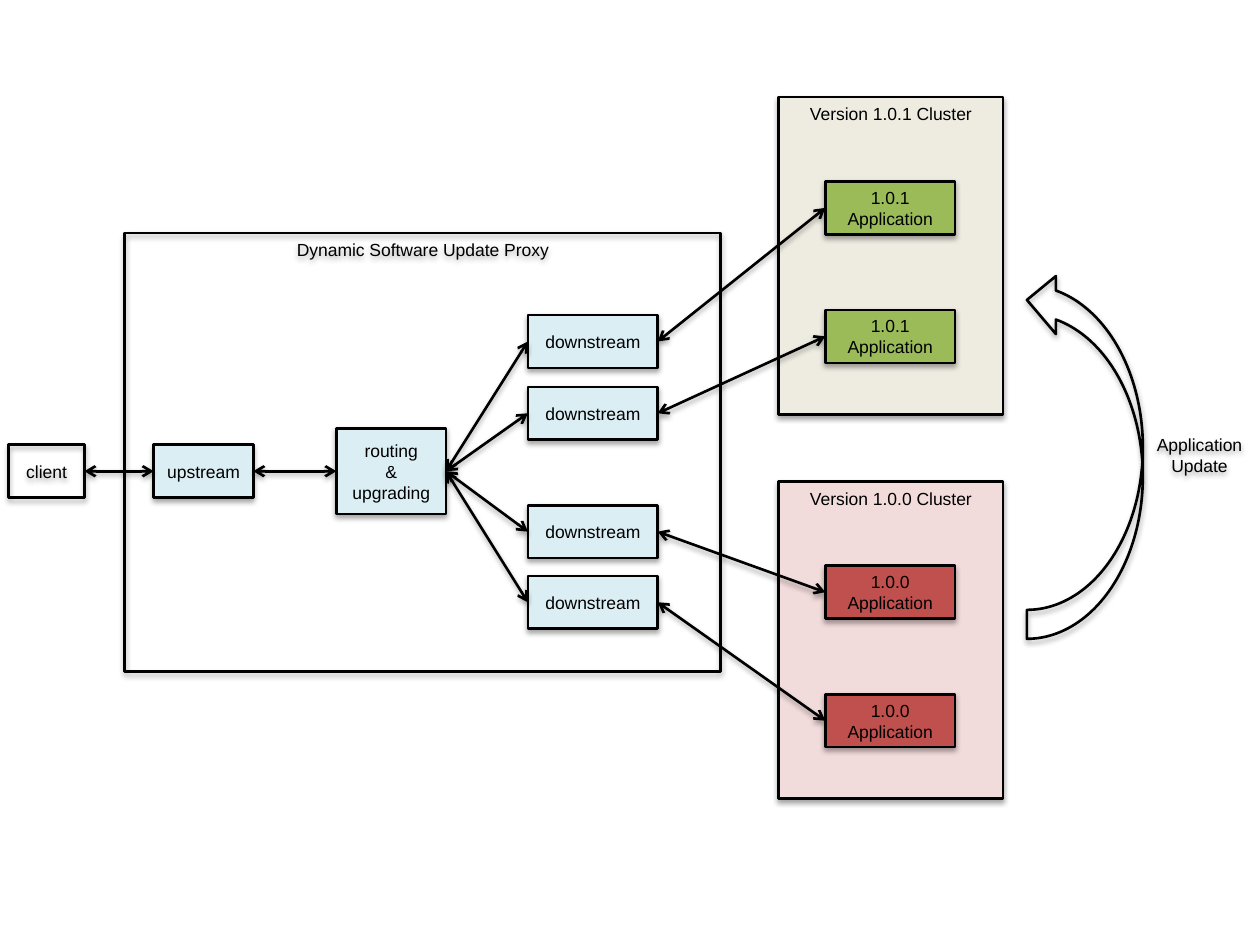
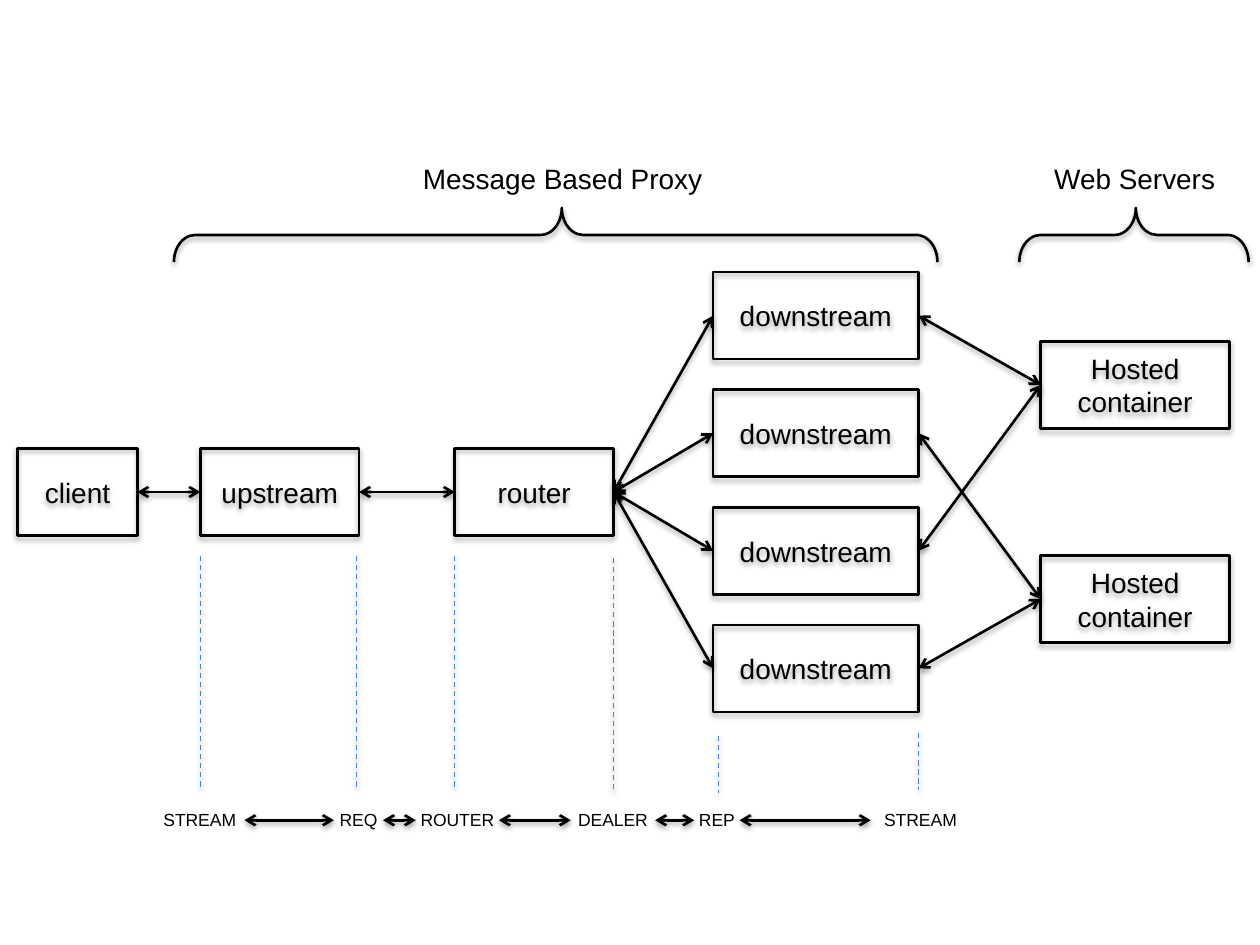
from itertools import pairwise
from lxml.etree import SubElement
from pptx import Presentation
from pptx.dml.color import RGBColor
from pptx.enum.dml import MSO_LINE
from pptx.enum.shapes import MSO_CONNECTOR, MSO_SHAPE
from pptx.enum.text import MSO_ANCHOR, PP_ALIGN
from pptx.oxml.ns import qn
from pptx.util import Inches, Pt

FONT = "Arial"
BLACK, GUIDE_BLUE = "000000", "4F81BD"
PROXY_BLUE = "DBEEF4"
NEW_CLUSTER, NEW_APP = "EEECE1", "9BBB59"
OLD_CLUSTER, OLD_APP = "F2DCDB", "C0504D"
# Shadow: opacity in percent, distance in points
BOX_SHADOW, FLAT_SHADOW = (35, 1.8), (38, 1.6)
LEFT_SITE, RIGHT_SITE = 1, 3


def color(hex_string):
    return RGBColor.from_string(hex_string)


def add_shadow(shape, shadow):
    """Give a shape or connector a soft shadow straight below it."""
    opacity, distance = shadow
    properties = shape._element.spPr
    effects = properties.find(qn("a:effectLst"))
    if effects is None:
        effects = SubElement(properties, qn("a:effectLst"))
    outer = SubElement(effects, qn("a:outerShdw"), blurRad=str(Pt(3.1)),
                       dist=str(Pt(distance)), dir="5400000", rotWithShape="0")
    tint = SubElement(outer, qn("a:srgbClr"), val=BLACK)
    SubElement(tint, qn("a:alpha"), val=str(opacity * 1000))


def write(shape, text, size, anchor, margins=(0.1, 0.05)):
    frame = shape.text_frame
    frame.word_wrap = True
    frame.vertical_anchor = anchor
    frame.margin_left = frame.margin_right = Inches(margins[0])
    frame.margin_top = frame.margin_bottom = Inches(margins[1])
    frame.text = text
    for paragraph in frame.paragraphs:
        paragraph.alignment = PP_ALIGN.CENTER
        paragraph.font.name = FONT
        paragraph.font.size = Pt(size)
        paragraph.font.color.rgb = color(BLACK)


def add_outline(slide, kind, box, fill=None):
    shape = slide.shapes.add_shape(kind, *map(Inches, box))
    if fill:
        shape.fill.solid()
        shape.fill.fore_color.rgb = color(fill)
    else:
        shape.fill.background()
    shape.line.color.rgb = color(BLACK)
    shape.line.width = Pt(1.5)
    shape.shadow.inherit = False
    add_shadow(shape, BOX_SHADOW)
    return shape


def add_box(slide, text, box, size, fill=None, anchor=MSO_ANCHOR.MIDDLE):
    shape = add_outline(slide, MSO_SHAPE.RECTANGLE, box, fill)
    write(shape, text, size, anchor)
    return shape


def add_label(slide, text, box, size, anchor=MSO_ANCHOR.TOP, margins=(0.1, 0.05)):
    label = slide.shapes.add_textbox(*map(Inches, box))
    write(label, text, size, anchor, margins)
    return label


def add_line(slide, start, end, line_color=BLACK, width=1.5, shadow=FLAT_SHADOW):
    line = slide.shapes.add_connector(MSO_CONNECTOR.STRAIGHT, *map(Inches, start + end))
    line.line.color.rgb = color(line_color)
    line.line.width = Pt(width)
    add_shadow(line, shadow)
    return line


def add_arrowheads(line):
    outline = line._element.spPr.find(qn("a:ln"))
    for end in ("a:headEnd", "a:tailEnd"):
        SubElement(outline, qn(end), type="arrow")


def link(slide, source, target):
    """Join the right side of one box to the left side of another."""
    line = add_line(slide, (0, 0), (1, 1), shadow=BOX_SHADOW)
    line.begin_connect(source, RIGHT_SITE)
    line.end_connect(target, LEFT_SITE)
    add_arrowheads(line)


# Update proxy slide

def add_cluster(slide, left, top, version, fill, app_fill):
    add_box(slide, f"Version {version} Cluster", (left, top, 1.78, 2.52), 10,
            fill, MSO_ANCHOR.TOP)
    return [add_box(slide, f"{version} Application",
                    (left + 0.37, top + offset, 1.03, 0.42), 10, app_fill)
            for offset in (0.67, 1.69)]


def add_update_proxy(slide, left, top):
    add_box(slide, "Dynamic Software Update Proxy", (left, top, 4.73, 3.48), 10,
            anchor=MSO_ANCHOR.TOP)
    upstream = add_box(slide, "upstream", (left + 0.23, top + 1.68, 0.79, 0.42),
                       10, PROXY_BLUE)
    routing = add_box(slide, "routing\n& upgrading",
                      (left + 1.68, top + 1.55, 0.87, 0.68), 10, PROXY_BLUE)
    downstreams = [add_box(slide, "downstream", (left + 3.2, top + offset, 1.03, 0.42),
                           10, PROXY_BLUE)
                   for offset in (0.65, 1.22, 2.16, 2.72)]
    link(slide, upstream, routing)
    for downstream in downstreams:
        link(slide, routing, downstream)
    return upstream, downstreams


def add_update_arrow(slide, left, top):
    arrow = add_outline(slide, MSO_SHAPE.CURVED_RIGHT_ARROW, (left, top, 0.92, 2.92))
    arrow.rotation = 180
    label = add_label(slide, "Application\nUpdate", (left + 0.92, top + 1.25, 0.9, 0.42),
                      10, MSO_ANCHOR.MIDDLE)
    add_shadow(label, BOX_SHADOW)


def build_update_slide(slide):
    old_apps = add_cluster(slide, 6.18, 3.82, "1.0.0", OLD_CLUSTER, OLD_APP)
    new_apps = add_cluster(slide, 6.18, 0.77, "1.0.1", NEW_CLUSTER, NEW_APP)
    client = add_box(slide, "client", (0.07, 3.53, 0.6, 0.42), 10)
    upstream, downstreams = add_update_proxy(slide, 0.99, 1.85)
    link(slide, client, upstream)
    for downstream, app in zip(downstreams, new_apps + old_apps):
        link(slide, downstream, app)
    add_update_arrow(slide, 8.15, 2.15)


# Message proxy slide

def add_brace(slide, left, top, span, text, label_left, label_width):
    """Lay a brace of the given span under its heading."""
    depth = 0.43
    brace = add_outline(slide, MSO_SHAPE.LEFT_BRACE,
                        (left + (span - depth) / 2, top - (span - depth) / 2, depth, span))
    brace.rotation = 90
    brace.adjustments[0], brace.adjustments[1] = 0.393, 0.492
    add_label(slide, text, (label_left, top - 0.42, label_width, 0.37), 16)


def add_message_proxy(slide, left, top):
    height, pitch = 0.69, 2.8 / 3
    middle = top + 1.5 * pitch
    upstream = add_box(slide, "upstream", (left, middle, 1.26, height), 16)
    router = add_box(slide, "router", (left + 2.02, middle, 1.26, height), 16)
    downstreams = [add_box(slide, "downstream",
                           (left + 4.07, top + row * pitch, 1.63, height), 16)
                   for row in range(4)]
    link(slide, upstream, router)
    for downstream in downstreams:
        link(slide, router, downstream)
    return upstream, downstreams


def add_servers(slide, left, top):
    return [add_box(slide, "Hosted container", (left, top + offset, 1.5, 0.69), 16)
            for offset in (0, 1.7)]


def add_socket_strip(slide, top):
    """Name the sockets in a row, with an arrow in each gap."""
    sockets = [("STREAM", 1.23, 0.71), ("REQ", 2.65, 0.39), ("ROUTER", 3.3, 0.66),
               ("DEALER", 4.53, 0.67), ("REP", 5.51, 0.36), ("STREAM", 6.91, 0.79)]
    for name, left, width in sockets:
        add_label(slide, name, (left, top, width, 0.17), 10, margins=(0, 0))
    for (_, left, width), (_, next_left, _) in pairwise(sockets):
        add_arrowheads(add_line(slide, (left + width, top + 0.09),
                                (next_left, top + 0.09)))


def add_guides(slide):
    for x, top, bottom in [(1.59, 4.41, 6.27), (2.83, 4.41, 6.27), (3.61, 4.41, 6.27),
                           (4.87, 4.43, 6.29), (5.7, 5.84, 6.29), (7.29, 5.82, 6.27)]:
        guide = add_line(slide, (x, top), (x, bottom), GUIDE_BLUE, 0.75)
        guide.line.dash_style = MSO_LINE.DASH


def build_message_slide(slide):
    client = add_box(slide, "client", (0.14, 3.56, 0.95, 0.69), 16)
    upstream, downstreams = add_message_proxy(slide, 1.59, 2.16)
    servers = add_servers(slide, 8.26, 2.71)
    link(slide, client, upstream)
    for row, downstream in enumerate(downstreams):
        link(slide, downstream, servers[row % 2])
    add_brace(slide, 1.38, 1.65, 6.06, "Message Based Proxy", 3.15, 2.63)
    add_brace(slide, 8.09, 1.65, 1.82, "Web Servers", 8.05, 1.91)
    add_socket_strip(slide, 6.42)
    add_guides(slide)


def main():
    presentation = Presentation()
    presentation.slide_width, presentation.slide_height = Inches(10), Inches(7.5)
    blank = presentation.slide_layouts[6]
    for build in (build_update_slide, build_message_slide):
        build(presentation.slides.add_slide(blank))
    presentation.save("out.pptx")


if __name__ == "__main__":
    main()
